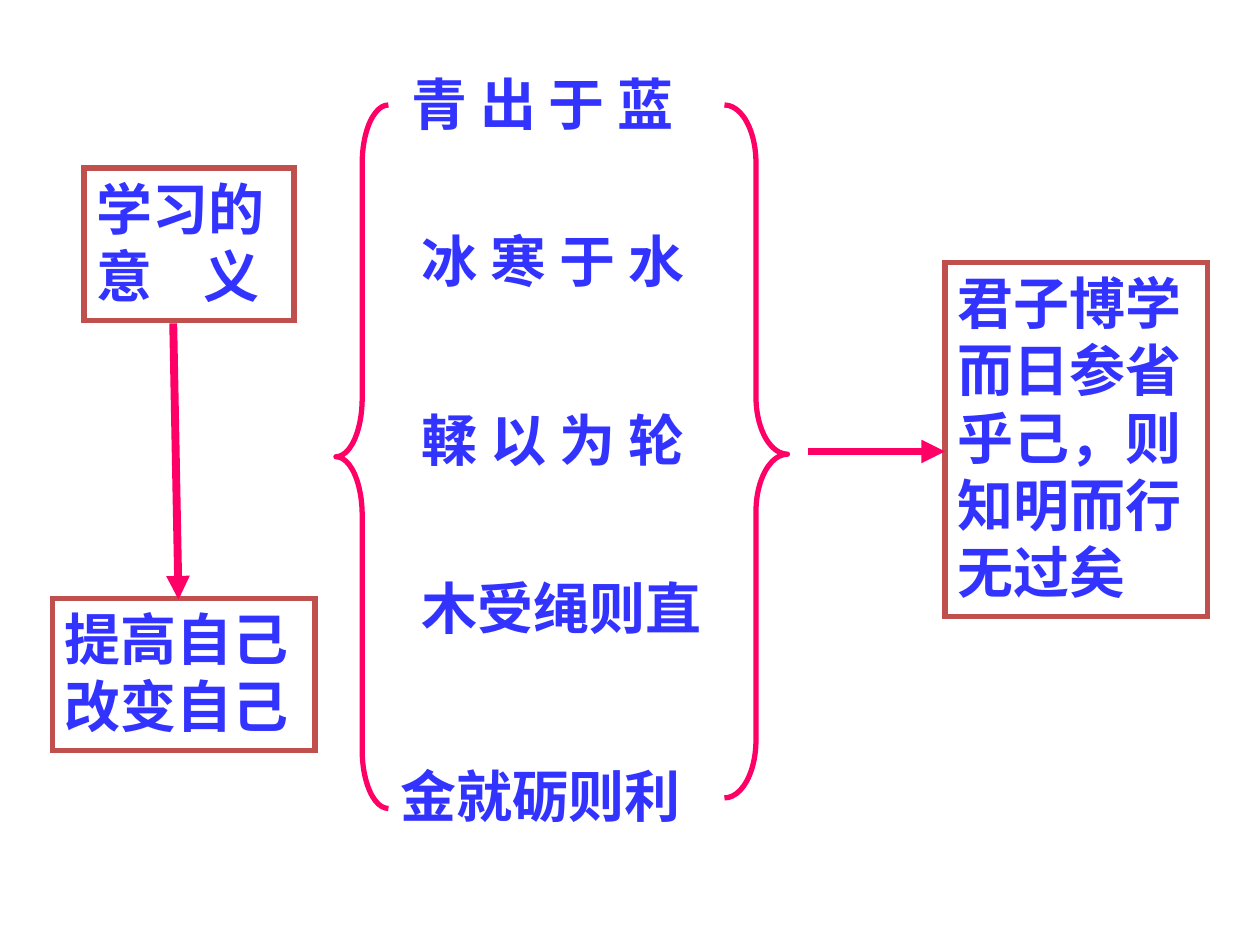
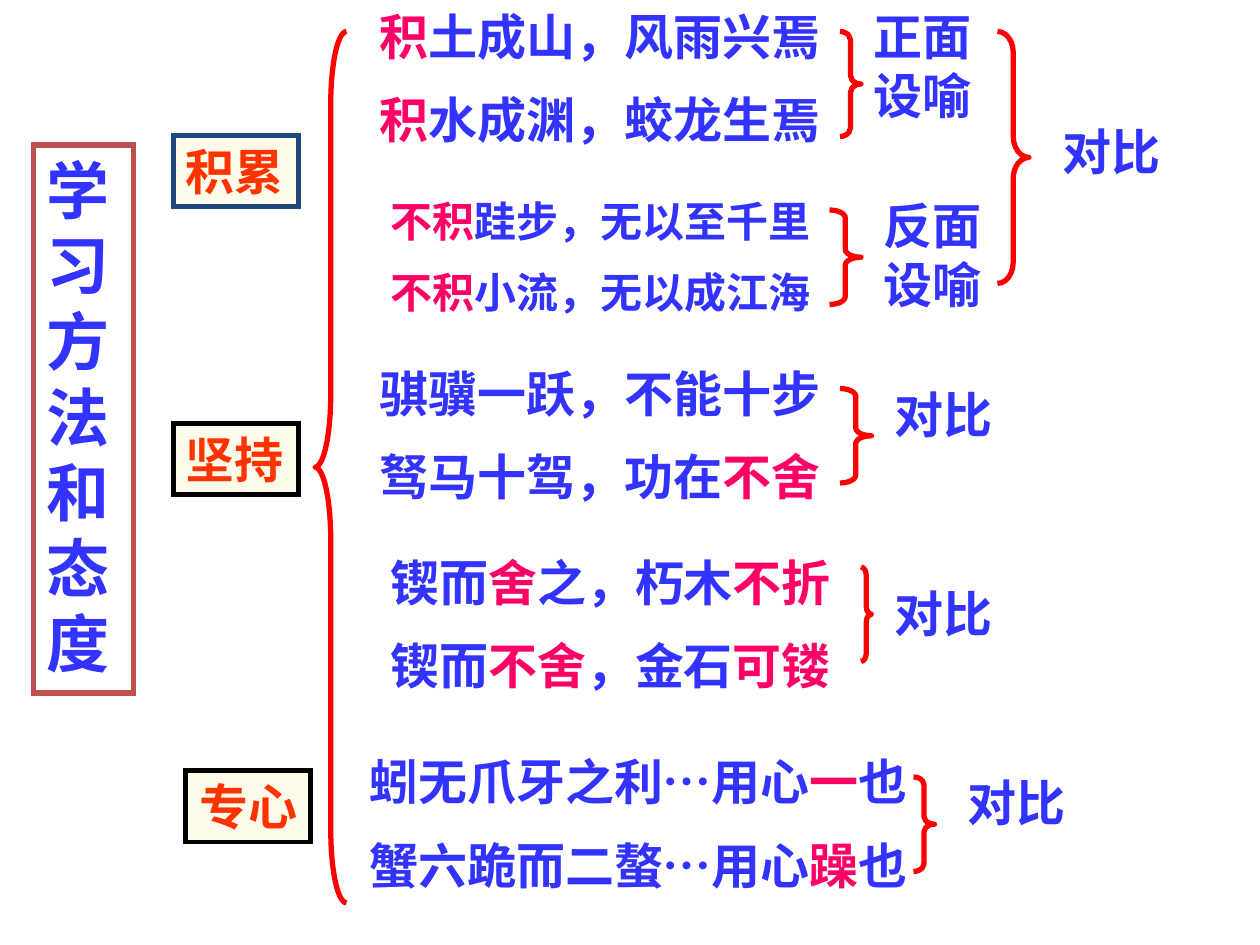
from dataclasses import dataclass

from lxml import etree
from pptx import Presentation
from pptx import util as u
from pptx.dml.color import RGBColor
from pptx.enum import shapes, text
from pptx.oxml.ns import qn

PX = u.Inches(1) // 120
FONT = "Times New Roman"
TITLE_ONLY = 5
COLOURS = {
    "blue": "3333FF",
    "pink": "FF0066",
    "red": "FF0000",
    "orange": "FF3300",
    "brick": "C0504D",
    "navy": "1F497D",
    "black": "000000",
    "cream": "FFFBEB",
}


@dataclass
class Area:
    left: int
    top: int
    width: int
    height: int

    def emu(self) -> tuple:
        return tuple(u.Emu(n * PX) for n in (self.left, self.top, self.width, self.height))


@dataclass
class Label:
    """Text in an area; parts between | marks are emphasised."""
    area: Area
    lines: tuple
    size: int = 28


@dataclass
class Brace:
    area: Area
    opens_left: bool = False
    middle: float = 0.5


@dataclass
class Tag:
    area: Area
    word: str
    border: str = "black"
    align: text.PP_ALIGN = text.PP_ALIGN.LEFT


@dataclass
class Arrow:
    start: tuple
    end: tuple


def rgb(name: str) -> RGBColor:
    return RGBColor.from_string(COLOURS[name])


def write(shape, lines, *, size=28, colour="blue", emphasis="pink",
          align=text.PP_ALIGN.LEFT, wrap=True, grow=True, tab=None) -> None:
    frame = shape.text_frame
    frame.word_wrap = wrap
    sizing = text.MSO_AUTO_SIZE
    frame.auto_size = sizing.SHAPE_TO_FIT_TEXT if grow else sizing.NONE
    frame.vertical_anchor = text.MSO_ANCHOR.TOP
    for index, line in enumerate(lines):
        paragraph = frame.add_paragraph() if index else frame.paragraphs[0]
        if tab:
            stops = etree.SubElement(paragraph._p.get_or_add_pPr(), qn("a:tabLst"))
            etree.SubElement(stops, qn("a:tab"), pos=str(tab * PX), algn="l")
        paragraph.alignment = align
        paragraph.space_before = u.Pt(size / 2 if index else 0)
        for part, words in enumerate(line.split("|")):
            if not words:
                continue
            run = paragraph.add_run()
            run.text = words
            run.font.name = FONT
            run.font.size = u.Pt(size)
            run.font.bold = True
            run.font.color.rgb = rgb(emphasis if part % 2 else colour)


def outline(shape, colour: str, points: float, sharp: bool = False) -> None:
    """Colour the line; sharp gives it square corners."""
    shape.line.color.rgb = rgb(colour)
    shape.line.width = u.Pt(points)
    if sharp:
        etree.SubElement(shape.line._get_or_add_ln(), qn("a:miter"), lim="800000")


def add_title(slide, label: Label, tab=None) -> None:
    title = slide.shapes.title
    title.left, title.top, title.width, title.height = label.area.emu()
    outline(title, "brick", 3, sharp=True)
    write(title, label.lines, size=label.size, grow=False, tab=tab)


def add_label(slide, label: Label) -> None:
    write(slide.shapes.add_textbox(*label.area.emu()), label.lines, size=label.size)


def add_preset(slide, preset, area: Area):
    shape = slide.shapes.add_shape(preset, *area.emu())
    shape.shadow.inherit = False
    shape.fill.background()
    return shape


def add_box(slide, label: Label) -> None:
    box = add_preset(slide, shapes.MSO_SHAPE.RECTANGLE, label.area)
    outline(box, "brick", 3, sharp=True)
    write(box, label.lines, size=label.size)


def add_tag(slide, tag: Tag) -> None:
    shape = add_preset(slide, shapes.MSO_SHAPE.RECTANGLE, tag.area)
    shape.fill.solid()
    shape.fill.fore_color.rgb = rgb("cream")
    outline(shape, tag.border, 2.75, sharp=True)
    write(shape, (tag.word,), colour="orange", align=tag.align, wrap=False)


def add_brace(slide, brace: Brace, colour: str) -> None:
    """Draw a brace whose curls are a twelfth of its height."""
    preset = shapes.MSO_SHAPE.LEFT_BRACE if brace.opens_left else shapes.MSO_SHAPE.RIGHT_BRACE
    shape = add_preset(slide, preset, brace.area)
    shape.adjustments[0] = brace.area.height / brace.area.width / 12
    shape.adjustments[1] = brace.middle
    outline(shape, colour, 3)


def add_arrow(slide, arrow: Arrow) -> None:
    points = [u.Emu(n * PX) for n in arrow.start + arrow.end]
    connector = slide.shapes.add_connector(shapes.MSO_CONNECTOR.STRAIGHT, *points)
    outline(connector, "pink", 4.5)
    etree.SubElement(connector.line._get_or_add_ln(), qn("a:tailEnd"), type="triangle")
    etree.SubElement(connector._element.spPr, qn("a:effectLst"))


def build_meaning(presentation) -> None:
    slide = presentation.slides.add_slide(presentation.slide_layouts[TITLE_ONLY])
    add_title(slide, Label(Area(80, 160, 200, 145), ("学习的意\t义",), 32), tab=102)
    boxes = (
        Label(Area(50, 570, 250, 145), ("提高自己改变自己",), 32),
        Label(Area(900, 250, 250, 337), ("君子博学而日参省乎己，则知明而行无过矣",), 32),
    )
    sayings = (
        (380, 60, 400, "青 出 于 蓝"),
        (390, 210, 380, "冰 寒 于 水"),
        (390, 380, 360, "輮 以 为 轮"),
        (390, 540, 430, "木受绳则直"),
        (370, 719, 470, "金就砺则利"),
    )
    for box in boxes:
        add_box(slide, box)
    for left, top, width, saying in sayings:
        add_label(slide, Label(Area(left, top, width, 76), (saying,), 32))
    add_brace(slide, Brace(Area(320, 100, 50, 670), opens_left=True), "pink")
    add_brace(slide, Brace(Area(690, 100, 60, 660), middle=0.504), "pink")
    add_arrow(slide, Arrow((165, 308), (170, 571)))
    add_arrow(slide, Arrow((770, 430), (900, 430)))


def build_method(presentation) -> None:
    slide = presentation.slides.add_slide(presentation.slide_layouts[TITLE_ONLY])
    add_title(slide, Label(Area(32, 138, 95, 522), ("学习方法和态度",), 36))
    quotes = (
        Label(Area(350, 0, 470, 152), ("|积|土成山，风雨兴焉", "|积|水成渊，蛟龙生焉")),
        Label(Area(360, 180, 450, 133), ("|不积|跬步，无以至千里", "|不积|小流，无以成江海"), 24),
        Label(Area(350, 340, 450, 152), ("骐骥一跃，不能十步", "驽马十驾，功在|不舍|")),
        Label(Area(360, 520, 450, 152), ("锲而|舍|之，朽木|不折|", "锲而|不舍|，金石|可镂|")),
        Label(Area(340, 710, 560, 152), ("蚓无爪牙之利…用心|一|也", "蟹六跪而二螯…用心|躁|也")),
    )
    remarks = (
        Label(Area(820, 0, 140, 124), ("正面设喻",)),
        Label(Area(830, 180, 130, 124), ("反面设喻",)),
    )
    contrasts = (
        Area(1000, 110, 200, 68),
        Area(840, 360, 160, 68),
        Area(840, 550, 150, 68),
        Area(910, 730, 170, 68),
    )
    braces = (
        Brace(Area(300, 30, 30, 830), opens_left=True),
        Brace(Area(800, 30, 20, 100)),
        Brace(Area(790, 200, 30, 90)),
        Brace(Area(950, 30, 30, 240)),
        Brace(Area(800, 370, 30, 90)),
        Brace(Area(820, 540, 10, 90)),
        Brace(Area(870, 740, 20, 90)),
    )
    tags = (
        Tag(Area(165, 129, 119, 68), "积累", "navy"),
        Tag(Area(165, 403, 119, 68), "坚持"),
        Tag(Area(177, 734, 119, 68), "专心", align=text.PP_ALIGN.CENTER),
    )
    for label in quotes + remarks:
        add_label(slide, label)
    for area in contrasts:
        add_label(slide, Label(area, ("对比",)))
    for brace in braces:
        add_brace(slide, brace, "red")
    for tag in tags:
        add_tag(slide, tag)


def main() -> None:
    presentation = Presentation()
    presentation.slide_width = u.Emu(1200 * PX)
    presentation.slide_height = u.Emu(900 * PX)
    build_meaning(presentation)
    build_method(presentation)
    presentation.save("out.pptx")


if __name__ == "__main__":
    main()
